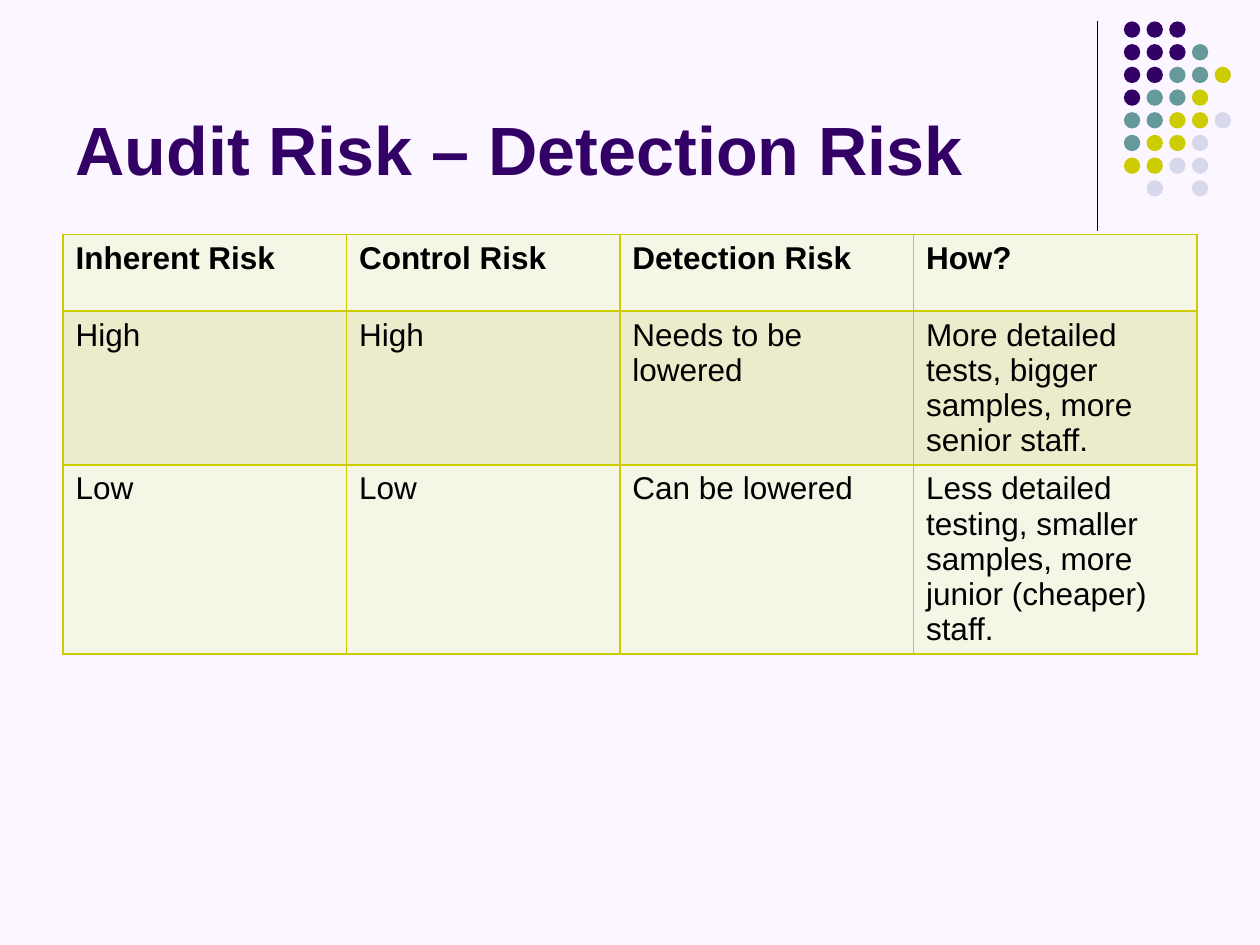
"""Build the audit detection risk slide."""
from dataclasses import dataclass

from lxml.etree import SubElement as Sub
from pptx import Presentation as Deck
from pptx.dml.color import RGBColor as Rgb
from pptx.enum.shapes import MSO_CONNECTOR as Conn, MSO_SHAPE as Form
from pptx.enum.text import MSO_ANCHOR as Anchor, PP_ALIGN as Align
from pptx.oxml.ns import qn
from pptx.util import Inches, Pt


@dataclass(frozen=True)
class Theme:
    """Colours and type sizes of the slide."""
    font: str = "Arial"
    back: str = "FBF6FF"
    ink: str = "000000"
    plum: str = "330066"
    teal: str = "669999"
    lime: str = "CCCC00"
    mist: str = "D8D8EC"
    pale: str = "F6F6E7"
    band: str = "ECECCC"
    head: int = 39
    body: int = 18
    rule: float = 0.75
    edge: float = 1


LOOK = Theme()
DOTS = ("PPP", "PPPT", "PPTTL", "PTTL", "TTLLM", "TLLM", "LLMM", " M M")
TINTS = {"P": LOOK.plum, "T": LOOK.teal, "L": LOOK.lime, "M": LOOK.mist}
COLS = (2.25, 2.17, 2.33, 2.25)
ROWS = (0.61, 1.22, 1.5)
CELLS = (
    ("Inherent Risk", "Control Risk", "Detection Risk", "How?"),
    ("High", "High", "Needs to be lowered",
     "More detailed tests, bigger samples, more senior staff."),
    ("Low", "Low", "Can be lowered",
     "Less detailed testing, smaller samples, more junior (cheaper) staff."),
)


def paint(fill, tint):
    """Give a fill one solid colour."""
    fill.solid()
    fill.fore_color.rgb = Rgb.from_string(tint)


def style(para, size, tint, bold):
    """Set the font of a paragraph."""
    font = para.font
    font.name, font.size, font.bold = LOOK.font, Pt(size), bold
    font.color.rgb = Rgb.from_string(tint)


def add_title(slide, text):
    """Place and format the slide title."""
    title = slide.shapes.title
    title.left, title.top = Inches(0.5), Inches(0.13)
    title.width, title.height = Inches(8.25), Inches(1.42)
    frame = title.text_frame
    frame.text = text
    frame.word_wrap = True
    frame.vertical_anchor = Anchor.BOTTOM
    para = frame.paragraphs[0]
    para.alignment = Align.LEFT
    style(para, LOOK.head, LOOK.plum, True)


def add_rule(slide, x, top, end):
    """Draw the upright line beside the title."""
    line = slide.shapes.add_connector(
        Conn.STRAIGHT, Inches(x), Inches(top), Inches(x), Inches(end))
    line.line.color.rgb = Rgb.from_string(LOOK.ink)
    line.line.width = Pt(LOOK.rule)
    Sub(line._element.spPr, qn("a:effectLst"))


def add_dots(slide, left, top, step, size):
    """Draw the grid of coloured dots as one group."""
    group = slide.shapes.add_group_shape()
    for row, marks in enumerate(DOTS):
        for col, mark in enumerate(marks):
            if mark in TINTS:
                dot = group.shapes.add_shape(
                    Form.OVAL, Inches(left + col * step),
                    Inches(top + row * step), Inches(size), Inches(size))
                dot.shadow.inherit = False
                dot.line.fill.background()
                paint(dot.fill, TINTS[mark])


def add_edges(cell):
    """Draw the four borders of a cell ahead of its fill."""
    props = cell._tc.get_or_add_tcPr()
    for side in ("lnL", "lnR", "lnT", "lnB"):
        line = Sub(props, qn(f"a:{side}"), w=str(Pt(LOOK.edge)))
        Sub(Sub(line, qn("a:solidFill")), qn("a:srgbClr"), val=LOOK.lime)


def add_grid(slide, left, top):
    """Add the risk table with its banded rows."""
    table = slide.shapes.add_table(
        len(ROWS), len(COLS), Inches(left), Inches(top),
        Inches(sum(COLS)), Inches(sum(ROWS))).table
    for col, width in zip(table.columns, COLS):
        col.width = Inches(width)
    for r, (row, height) in enumerate(zip(table.rows, ROWS)):
        row.height = Inches(height)
        for cell, text in zip(row.cells, CELLS[r]):
            cell.text = text
            style(cell.text_frame.paragraphs[0], LOOK.body, LOOK.ink, r == 0)
            add_edges(cell)
            paint(cell.fill, LOOK.band if r % 2 else LOOK.pale)


def main():
    """Build and save the slide."""
    deck = Deck()
    deck.slide_width, deck.slide_height = Inches(10), Inches(7.5)
    slide = deck.slides.add_slide(deck.slide_layouts.get_by_name("Title Only"))
    paint(slide.background.fill, LOOK.back)
    add_rule(slide, 8.71, 0.17, 1.83)
    add_dots(slide, 8.92, 0.17, 0.18, 0.13)
    add_title(slide, "Audit Risk – Detection Risk")
    add_grid(slide, 0.5, 1.86)
    deck.save("out.pptx")


if __name__ == "__main__":
    main()
